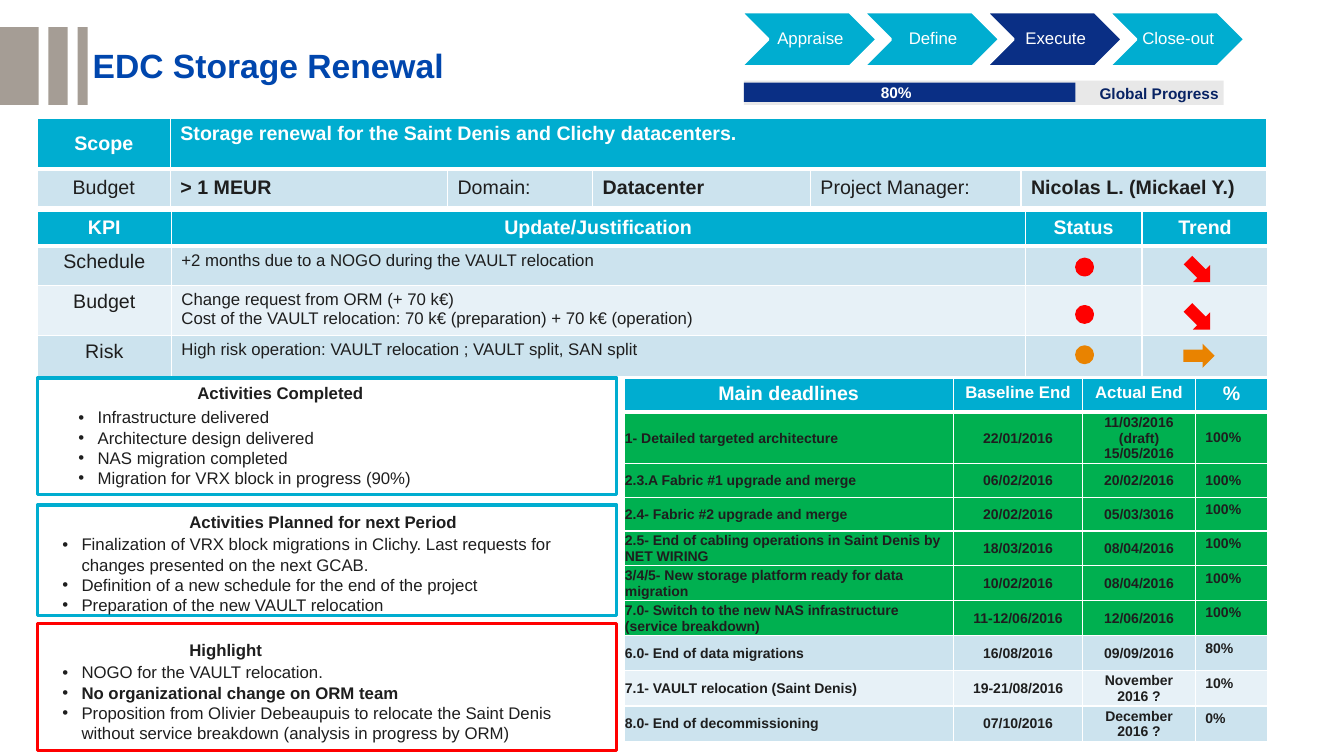
from lxml import etree
from pptx import Presentation
from pptx import util as u
from pptx.dml.color import RGBColor
from pptx.enum import shapes, text
from pptx.oxml import ns

COLORS = {
    "white": "FFFFFF", "ink": "1E1E1E", "cyan": "00ADD0", "navy": "0A2F85",
    "midnight": "082364", "title": "0046AD", "taupe": "A59D95", "track": "E8E8E8",
    "pale": "CCE3EE", "paler": "E7F1F7", "green": "00B050", "red": "FF0000",
    "orange": "E98300",
}
KIND = shapes.MSO_SHAPE
ALIGN = text.PP_ALIGN
ANCHOR = text.MSO_ANCHOR
COLUMNS, ROWS = 160, 90
LEFT = 4.44


class Board:
    font = "Arial"

    def __init__(self, deck):
        self.cell = deck.slide_width / COLUMNS
        self.page = deck.slides.add_slide(deck.slide_layouts[5])

    def grid(self, *lengths):
        return [u.Emu(round(length * self.cell)) for length in lengths]

    def color(self, name):
        return RGBColor.from_string(COLORS[name])

    def style(self, para, size, color="ink", bold=False, align=ALIGN.LEFT):
        para.alignment = align
        for span in para.runs:
            span.font.name = self.font
            span.font.size = u.Pt(size)
            span.font.bold = bold
            span.font.color.rgb = self.color(color)

    def title(self, words, left, top, width, height):
        box = self.page.shapes.title
        box.left, box.top, box.width, box.height = self.grid(left, top, width, height)
        frame = box.text_frame
        frame.text = words
        frame.margin_left = frame.margin_right = frame.margin_top = frame.margin_bottom = 0
        frame.vertical_anchor = ANCHOR.MIDDLE
        frame.paragraphs[0].line_spacing = 0.9
        self.style(frame.paragraphs[0], 24, "title", True)

    def shape(self, kind, left, top, width, height, fill, line=None, weight=2):
        item = self.page.shapes.add_shape(kind, *self.grid(left, top, width, height))
        item.shadow.inherit = False
        item.fill.solid()
        item.fill.fore_color.rgb = self.color(fill)
        if line:
            item.line.color.rgb = self.color(line)
            item.line.width = u.Pt(weight)
        else:
            item.line.fill.background()
        return item

    def stage(self, words, left, fill):
        frame = self.shape(KIND.CHEVRON, left, 1.44, 16.2, 6.48, fill, "white").text_frame
        frame.text = words
        frame.word_wrap = False
        frame.vertical_anchor = ANCHOR.MIDDLE
        frame.margin_left = u.Inches(0.05)
        frame.margin_right = frame.margin_top = frame.margin_bottom = u.Inches(0.02)
        frame.paragraphs[0].line_spacing = 0.9
        self.style(frame.paragraphs[0], 12, "white", align=ALIGN.CENTER)

    def label(self, words, left, top, width, height, size, color="ink", bold=True):
        frame = self.page.shapes.add_textbox(*self.grid(left, top, width, height)).text_frame
        frame.word_wrap = True
        frame.text = words
        for para in frame.paragraphs:
            self.style(para, size, color, bold)
        return frame

    def bullets(self, items, left, top, strong=None):
        frame = self.label("\n".join(items), left, top, 64.2, 10.92, 12, bold=False)
        for index, para in enumerate(frame.paragraphs):
            props = para._p.get_or_add_pPr()
            props.set("marL", str(u.Inches(0.19)))
            props.set("indent", str(-u.Inches(0.19)))
            etree.SubElement(props, ns.qn("a:buFont"), typeface=self.font)
            etree.SubElement(props, ns.qn("a:buChar"), char="•")
            para.runs[0].font.bold = index == strong

    def border(self, cell, header):
        props = cell._tc.get_or_add_tcPr()
        for side in ("lnL", "lnR", "lnT", "lnB"):
            weight = 3 if header and side == "lnB" else 1
            line = etree.SubElement(props, ns.qn("a:" + side), w=str(u.Pt(weight)))
            solid = etree.SubElement(line, ns.qn("a:solidFill"))
            etree.SubElement(solid, ns.qn("a:srgbClr"), val=COLORS["white"])

    def table(self, left, top, widths, heights, rows, look):
        area = self.grid(left, top, sum(widths), sum(heights))
        table = self.page.shapes.add_table(len(rows), len(widths), *area).table
        for column, width in zip(table.columns, self.grid(*widths)):
            column.width = width
        for row, height in zip(table.rows, self.grid(*heights)):
            row.height = height
        for r, row in enumerate(rows):
            for c, words in enumerate(row):
                cell = table.cell(r, c)
                fill, size, bold, align, anchor, tight = look(r, c)
                self.border(cell, r == 0)
                cell.fill.solid()
                cell.fill.fore_color.rgb = self.color(fill)
                cell.vertical_anchor = anchor
                if tight:
                    cell.margin_left = cell.margin_right = cell.margin_top = u.Inches(0.01)
                    cell.margin_bottom = 0
                cell.text_frame.text = words
                for para in cell.text_frame.paragraphs:
                    para.font.size = u.Pt(size)
                    self.style(para, size, "ink" if r else "white", bold, align)
        return table


def scope_look(r, c):
    align = ALIGN.LEFT if c else ALIGN.CENTER
    anchor = ANCHOR.TOP if r == 0 and c else ANCHOR.MIDDLE
    return "pale" if r else "cyan", 14, r == 0 or c in (1, 3, 5), align, anchor, False


def kpi_look(r, c):
    align = ALIGN.LEFT if r and c else ALIGN.CENTER
    fill = ("cyan", "pale", "paler", "pale")[r]
    return fill, 12 if r and c else 14, r == 0, align, ANCHOR.TOP, False


def deadline_look(r, c):
    if r == 0:
        return "cyan", 12 if c in (1, 2) else 14, True, ALIGN.CENTER, ANCHOR.TOP, False
    fill = "green" if r < 7 else "paler" if r == 8 else "pale"
    align = ALIGN.CENTER if c in (1, 2) else ALIGN.LEFT
    anchor = ANCHOR.TOP if c == 3 and r > 2 else ANCHOR.MIDDLE
    return fill, 10, True, align, anchor, c < 3


def main():
    deck = Presentation()
    deck.slide_width, deck.slide_height = u.Inches(13.333), u.Inches(7.5)
    board = Board(deck)

    for left, width in ((0, 4.6), (5.76, 2.28), (9.24, 1.2)):
        board.shape(KIND.RECTANGLE, left, 3.24, width, 9.24, "taupe")
    board.title("EDC Storage Renewal", 11.04, 3.48, 74, 9.12)
    for index, stage in enumerate(("Appraise", "Define", "Execute", "Close-out")):
        board.stage(stage, 88.2 + 14.6 * index, "navy" if stage == "Execute" else "cyan")
    board.shape(KIND.RECTANGLE, 88.56, 9.6, 57.12, 2.88, "track")
    board.shape(KIND.RECTANGLE, 88.56, 9.84, 39.48, 2.28, "navy")
    board.label("80%", 103.68, 9.36, 9, 3.48, 11, "white")
    board.label("Global Progress", 129.72, 9.42, 18, 3.48, 11, "midnight")

    scope = board.table(LEFT, 14.04, (15.84, 33, 17.28, 25.92, 25.08, 29.28), (6.12, 4.44), [
        ("Scope", "Storage renewal for the Saint Denis and Clichy datacenters.", "", "", "", ""),
        ("Budget", "> 1 MEUR", "Domain:", "Datacenter", "Project Manager:",
         "Nicolas L. (Mickael Y.)"),
    ], scope_look)
    scope.cell(0, 1).merge(scope.cell(0, 5))

    board.table(LEFT, 25.2, (15.96, 101.64, 13.92, 15), (4.08, 4.68, 5.88, 4.92), [
        ("KPI", "Update/Justification", "Status", "Trend"),
        ("Schedule", "+2 months due to a NOGO during the VAULT relocation", "", ""),
        ("Budget", "Change request from ORM (+ 70 k€)\n"
         "Cost of the VAULT relocation: 70 k€ (preparation) + 70 k€ (operation)", "", ""),
        ("Risk", "High risk operation: VAULT relocation ; VAULT split, SAN split", "", ""),
    ], kpi_look)
    for dot_top, arrow_top, color, angle in (
            (30.84, 30.84, "red", 45), (36.48, 36.48, "red", 45), (41.28, 40.92, "orange", 0)):
        board.shape(KIND.OVAL, 128.16, dot_top, 1.92, 1.92, color, color)
        arrow = board.shape(KIND.RIGHT_ARROW, 140.88, arrow_top, 3.72, 2.88, color)
        arrow.rotation = angle

    panels = (
        (45, 13.92, "cyan", "Activities Completed", 22.32, 45, 8.16, 47.88, None, (
            "Infrastructure delivered", "Architecture design delivered",
            "NAS migration completed", "Migration for VRX block in progress (90%)")),
        (60.12, 13.2, "cyan", "Activities Planned for next Period", 21.36, 60.36, 6.24, 63, None, (
            "Finalization of VRX block migrations in Clichy. Last requests for changes "
            "presented on the next GCAB.",
            "Definition of a new schedule for the end of the project",
            "Preparation of the new VAULT relocation")),
        (74.28, 15.12, "red", "Highlight", 21.36, 75.6, 6.24, 78.24, 1, (
            "NOGO for the VAULT relocation.", "No organizational change on ORM team",
            "Proposition from Olivier Debeaupuis to relocate the Saint Denis without "
            "service breakdown (analysis in progress by ORM)")),
    )
    for top, height, line, heading, head_left, head_top, left, list_top, strong, items in panels:
        board.shape(KIND.RECTANGLE, LEFT, top, 69, height, "white", line, 2.25)
        board.label(heading, head_left, head_top, 36.6, 3.6, 12)
        board.bullets(items, left, list_top, strong)

    board.table(74.28, 45, (39.24, 15.36, 13.44, 8.64),
                (4.08, 6, 4, 4, 4.1, 4.1, 4.2, 4.2, 4.2, 4.2), [
        ("Main deadlines", "Baseline End", "Actual End", "%"),
        ("1- Detailed targeted architecture", "22/01/2016", "11/03/2016 (draft)\n15/05/2016", "100%"),
        ("2.3.A Fabric #1 upgrade and merge", "06/02/2016", "20/02/2016", "100%"),
        ("2.4- Fabric #2 upgrade and merge", "20/02/2016", "05/03/3016", "100%"),
        ("2.5- End of cabling operations in Saint Denis by NET WIRING", "18/03/2016",
         "08/04/2016", "100%"),
        ("3/4/5- New storage platform ready for data migration", "10/02/2016", "08/04/2016", "100%"),
        ("7.0- Switch to the new NAS infrastructure (service breakdown)", "11-12/06/2016",
         "12/06/2016", "100%"),
        ("6.0- End of data migrations", "16/08/2016", "09/09/2016", "80%"),
        ("7.1- VAULT relocation (Saint Denis)", "19-21/08/2016", "November 2016 ?", "10%"),
        ("8.0- End of decommissioning", "07/10/2016", "December 2016 ?", "0%"),
    ], deadline_look)

    deck.save("out.pptx")


if __name__ == "__main__":
    main()
